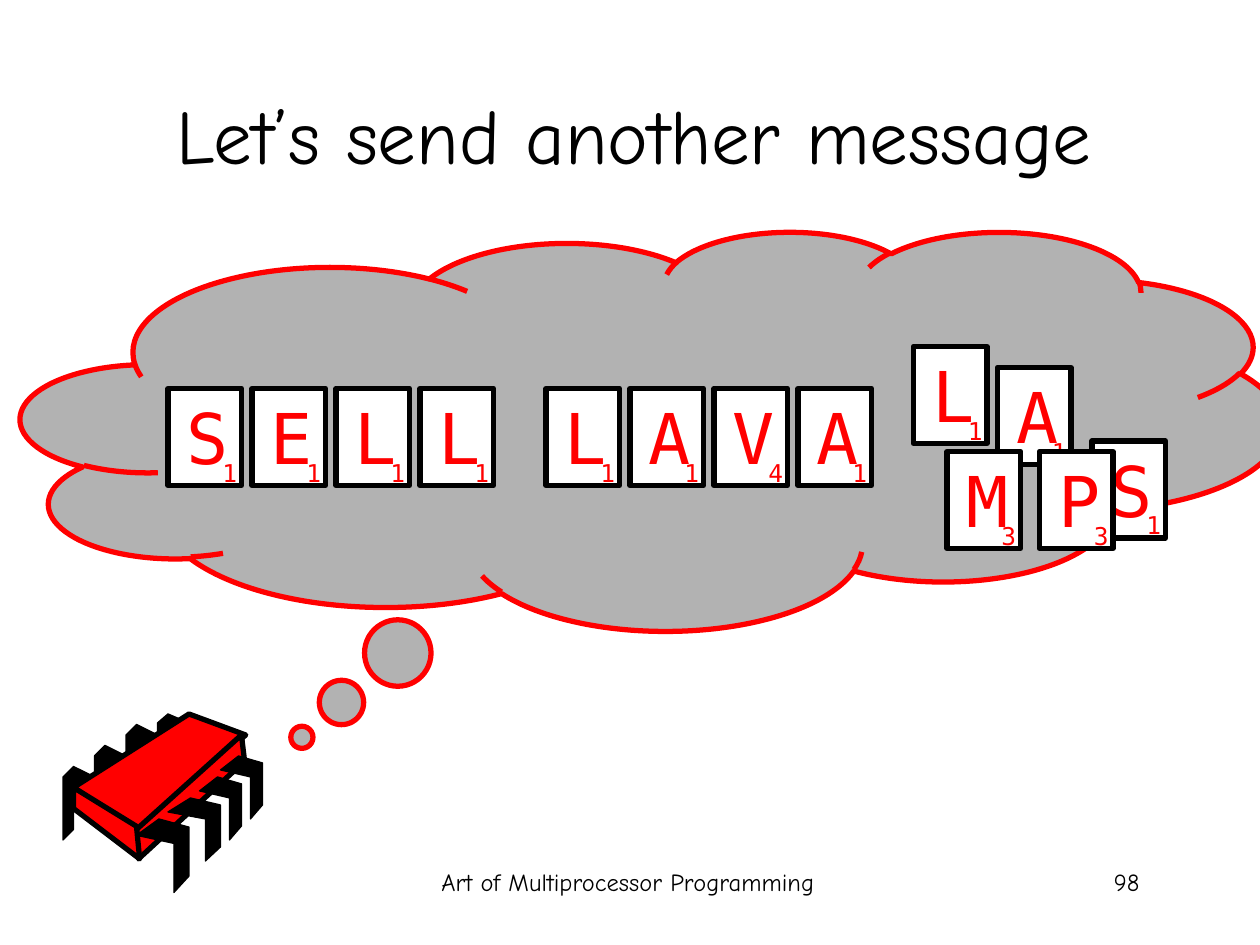
import pptx
import pptx.dml.color
import pptx.enum.shapes
import pptx.enum.text
import pptx.util
from dataclasses import dataclass

SLIDE_WIDTH = pptx.util.Inches(10)
SLIDE_HEIGHT = pptx.util.Inches(7.5)
COLUMNS, ROWS = 120, 90
TEXT_FONT, TILE_FONT = "Comic Neue", "DejaVu Sans Mono"
BLACK, WHITE, RED, GRAY = "000000", "FFFFFF", "FF0000", "B2B2B2"
CENTER = pptx.enum.text.PP_ALIGN.CENTER
RIGHT = pptx.enum.text.PP_ALIGN.RIGHT
Points = list[tuple[float, float]]


@dataclass
class Box:
    column: float
    row: float
    width: float
    height: float

    def place(self) -> tuple[int, int, int, int]:
        return (across(self.column), down(self.row),
                across(self.width), down(self.height))

    def fit(self, shares: Points) -> Points:
        return [(self.column + x * self.width, self.row + y * self.height)
                for x, y in shares]


@dataclass
class Tile:
    letter: str
    column: float
    row: float


def across(columns: float) -> int:
    return round(SLIDE_WIDTH * columns / COLUMNS)


def down(rows: float) -> int:
    return round(SLIDE_HEIGHT * rows / ROWS)


def color(value: str) -> pptx.dml.color.RGBColor:
    return pptx.dml.color.RGBColor.from_string(value)


def paint(shape, fill: str, line: str, weight: float) -> None:
    shape.shadow.inherit = False
    shape.fill.solid()
    shape.fill.fore_color.rgb = color(fill)
    shape.line.color.rgb = color(line)
    shape.line.width = pptx.util.Pt(weight)


def write(shape, text: str, size: float, font: str, text_color: str, alignment,
          anchor=pptx.enum.text.MSO_ANCHOR.TOP, wrap: bool = True) -> None:
    text_frame = shape.text_frame
    text_frame.text = text
    text_frame.word_wrap = wrap
    text_frame.vertical_anchor = anchor
    paragraph = text_frame.paragraphs[0]
    paragraph.alignment = alignment
    run = paragraph.runs[0]
    run.font.size = pptx.util.Pt(size)
    run.font.name = font
    run.font.color.rgb = color(text_color)


def draw_outline(slide, points: Points, fill: str, weight: float) -> None:
    corners = [(across(x), down(y)) for x, y in points]
    builder = slide.shapes.build_freeform(*corners[0], scale=1.0)
    builder.add_line_segments(corners[1:], close=True)
    paint(builder.convert_to_shape(), fill, BLACK, weight)


def draw_tile(slide, tile: Tile) -> None:
    square = slide.shapes.add_shape(pptx.enum.shapes.MSO_SHAPE.RECTANGLE,
                                    *Box(tile.column, tile.row, 7, 9.24).place())
    paint(square, WHITE, BLACK, 3)
    write(square, tile.letter, 40, TILE_FONT, RED, RIGHT)
    score = slide.shapes.add_textbox(
        *Box(tile.column + 4, tile.row + 6, 3.75, 4).place())
    write(score, LETTER_SCORES.get(tile.letter, "1"), 14, TILE_FONT, RED, RIGHT, wrap=False)


LETTER_SCORES = {"V": "4", "M": "3", "P": "3"}
MESSAGE = [Tile(letter, 16 + 8 * position - (4 if position > 4 else 0), 37)
           for position, letter in enumerate("SELL LAVA") if letter != " "]
LOOSE_TILES = [Tile("S", 104, 42), Tile("L", 87, 33), Tile("A", 95, 35),
               Tile("M", 90.2, 43), Tile("P", 99, 43)]

LEFT_LEG = [(1, 1 / 7), (1 / 3, 0), (0, 1 / 7), (0, 1), (1 / 3, 6 / 7),
            (1 / 3, 2 / 7), (1, 3 / 7)]
RIGHT_LEG = [(3 / 7, 0), (0, 2 / 9), (5 / 7, 1 / 3), (5 / 7, 1), (1, 7 / 9),
             (1, 1 / 9)]
LEFT_LEG_BOXES = [Box(6 + 3 * leg, 73 - 2 * leg, 3, 7) for leg in range(3)]
LEFT_LEG_BOXES.append(Box(15, 68, 3, 6))
RIGHT_LEG_BOXES = [Box(13, 78, 5, 7), Box(16, 76, 5, 6),
                   Box(19, 74, 4, 6), Box(21, 72, 4, 6)]
CHIP_FACES = [
    [(18, 68), (7, 75), (13.2, 79.2), (23.4, 70)],
    [(23, 70), (13, 79), (13.2, 81.8), (23.3, 72.5)],
    [(7, 75), (7, 77), (13.3, 81.8), (13, 78.7)],
]


def draw_chip(slide) -> None:
    for box in LEFT_LEG_BOXES:
        draw_outline(slide, box.fit(LEFT_LEG), BLACK, 0.75)
    for face in CHIP_FACES:
        draw_outline(slide, face, RED, 3)
    for box in RIGHT_LEG_BOXES:
        draw_outline(slide, box.fit(RIGHT_LEG), BLACK, 0.75)


def draw_thought(slide) -> None:
    cloud = slide.shapes.add_shape(pptx.enum.shapes.MSO_SHAPE.CLOUD_CALLOUT,
                                   *Box(2, 22, 120, 38).place())
    cloud.adjustments[0] = -0.277
    cloud.adjustments[1] = 0.769
    paint(cloud, GRAY, RED, 3)


def draw_title(slide, text: str) -> None:
    title = slide.shapes.title
    title.left, title.top, title.width, title.height = Box(9.4, 5.2, 102, 15).place()
    write(title, text, 44, TEXT_FONT, BLACK, CENTER,
          anchor=pptx.enum.text.MSO_ANCHOR.MIDDLE)


def draw_footer(slide, text: str, box: Box, alignment) -> None:
    footer = slide.shapes.add_textbox(*box.place())
    write(footer, text, 14, TEXT_FONT, BLACK, alignment)


def main() -> None:
    presentation = pptx.Presentation()
    presentation.slide_width = SLIDE_WIDTH
    presentation.slide_height = SLIDE_HEIGHT
    slide = presentation.slides.add_slide(presentation.slide_layouts[5])
    draw_title(slide, "Let’s send another message")
    draw_footer(slide, "Art of Multiprocessor Programming", Box(40.8, 82, 38, 6), CENTER)
    draw_footer(slide, "98", Box(84.7, 82, 25, 6), RIGHT)
    draw_thought(slide)
    draw_chip(slide)
    for tile in LOOSE_TILES + MESSAGE:
        draw_tile(slide, tile)
    presentation.save("out.pptx")


if __name__ == "__main__":
    main()
